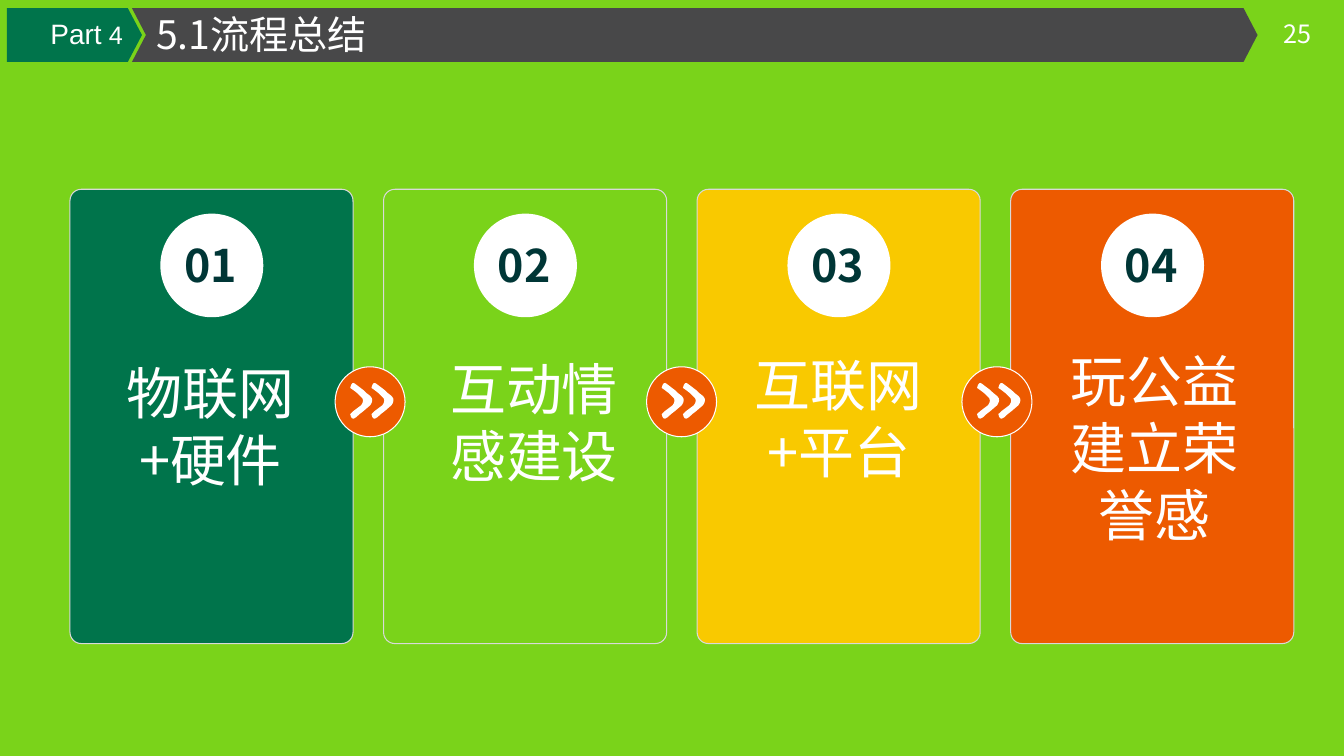
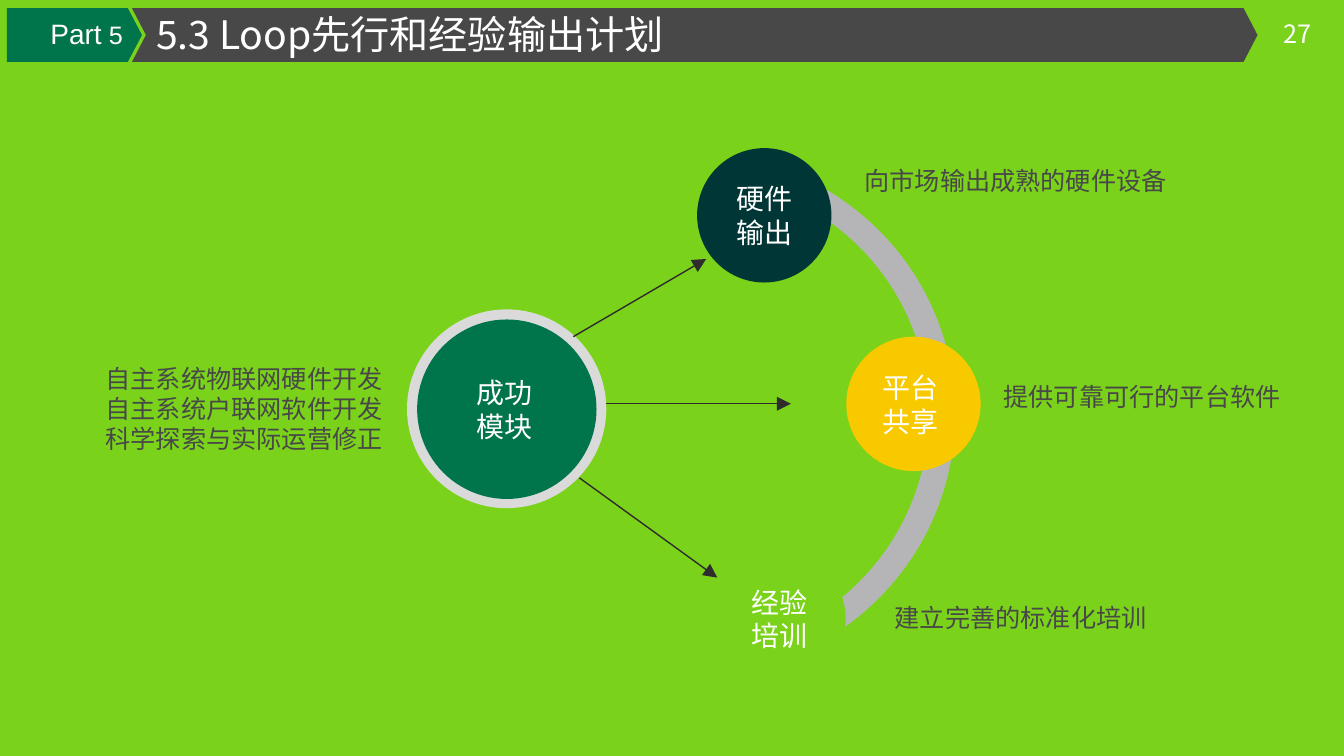
from lxml import etree
from pptx import Presentation
from pptx.dml.color import RGBColor
from pptx.enum import shapes, text
from pptx.oxml import ns
from pptx.util import Pt

LIME = RGBColor(0x7A, 0xD3, 0x1A)
GREEN = RGBColor(0x00, 0x74, 0x4B)
GOLD = RGBColor(0xF9, 0xC9, 0x00)
FLAME = RGBColor(0xED, 0x5A, 0x00)
DEEP = RGBColor(0x00, 0x36, 0x36)
SLATE = RGBColor(0x48, 0x48, 0x49)
INK = RGBColor(0x2E, 0x2C, 0x2C)
SILVER = RGBColor(0xB5, 0xB5, 0xB7)
PALE = RGBColor(0xDA, 0xDA, 0xDB)
EDGE = RGBColor(0xD9, 0xD9, 0xD9)
WHITE = RGBColor(0xFF, 0xFF, 0xFF)

SANS, LATIN = "Noto Sans CJK SC", "Arial"
LEFT, MID, RIGHT = text.PP_ALIGN.LEFT, text.PP_ALIGN.CENTER, text.PP_ALIGN.RIGHT
OVAL = shapes.MSO_SHAPE.OVAL
CARD = shapes.MSO_SHAPE.ROUNDED_RECTANGLE

# Outlines: a start point, then lines (2 numbers) or curves (6 numbers)
BAR = [(0, 0), (794.4, 0), (804.4, 19.2), (794.4, 38.4), (0, 38.4), (10, 19.2)]
TAG = [(0, 0), (86.4, 0), (96.5, 19.2), (86.4, 38.4), (0, 38.4)]
CHEVRON = [(14.4, 16.6), (9.4, 20.9), (7.2, 22.3, 5.8, 23.8, 4.3, 25.2),
           (1.4, 27.4, 0.7, 25.9, 0, 23), (2.2, 20.9), (7.9, 16.6),
           (9.4, 14.4, 10.1, 12.2, 7.2, 10.1), (5.8, 8.6, 4.3, 7.2, 2.2, 5.8),
           (0, 4.3), (0.7, 0.7, 2.2, 0, 3.6, 1.4), (9.4, 5.8),
           (10.8, 7.2, 12.2, 8.6, 14.4, 10.1),
           (16.6, 12.2, 15.8, 14.4, 14.4, 16.6)]
ARC = [(0, 15.8), (49.7, 44.6, 83.5, 99.4, 83.5, 161.3),
       (83.5, 221.8, 51.1, 275.8, 2.9, 305.3), (11.5, 321.1),
       (66.2, 288, 102.2, 229, 102.2, 161.3),
       (102.2, 92.2, 64.8, 32.4, 8.6, 0)]


def paint(item, fill, line=None, width=0.75):
    item.shadow.inherit = False
    item.fill.solid()
    item.fill.fore_color.rgb = fill
    if line is None:
        item.line.fill.background()
    else:
        item.line.color.rgb = line
        item.line.width = Pt(width)
    return item


def shape(s, kind, x, y, w, h, fill, line=None, width=0.75):
    item = s.shapes.add_shape(kind, Pt(x), Pt(y), Pt(w), Pt(h))
    return paint(item, fill, line, width)


def outline(s, x, y, parts, fill):
    dots = [part[i:i + 2] for part in parts for i in range(0, len(part), 2)]
    grid = [(round((x + a) * 100), round((y + b) * 100)) for a, b in dots]
    form = s.shapes.build_freeform(*grid[0], scale=Pt(1) / 100)
    form.add_line_segments(grid[1:], close=True)
    item = paint(form.convert_to_shape(), fill)
    # Join the three points of each curve
    legs = iter(list(item._element.iter(ns.qn("a:lnTo"))))
    for part in parts[1:]:
        first, *more = [next(legs) for _ in range(len(part) // 2)]
        if more:
            curve = etree.Element(ns.qn("a:cubicBezTo"))
            first.addprevious(curve)
            for leg in (first, *more):
                curve.append(leg[0])
                leg.getparent().remove(leg)
    return item


def style(run, size, color, face, bold=False):
    font = run.font
    font.size, font.name, font.bold = Pt(size), face, bold
    font.color.rgb = color
    rpr = run._r.get_or_add_rPr()
    etree.SubElement(rpr, ns.qn("a:ea")).set("typeface", face)


def write(s, x, y, w, h, words, size, color=WHITE, align=MID, bold=False, face=SANS):
    frame = s.shapes.add_textbox(Pt(x), Pt(y), Pt(w), Pt(h)).text_frame
    frame.word_wrap = True
    frame.text = words
    for para in frame.paragraphs:
        para.alignment = align
        if face == SANS:
            para.line_spacing = Pt(1.2 * size)
        for run in para.runs:
            style(run, size, color, face, bold)
    return frame


def arrow(s, x1, y1, x2, y2):
    line = s.shapes.add_connector(shapes.MSO_CONNECTOR.STRAIGHT,
                                  Pt(x1), Pt(y1), Pt(x2), Pt(y2))
    line.line.color.rgb = INK
    line.line.width = Pt(1)
    head = etree.SubElement(line.line._get_or_add_ln(), ns.qn("a:tailEnd"))
    for key, kind in (("type", "triangle"), ("w", "lg"), ("len", "lg")):
        head.set(key, kind)
    etree.SubElement(line._element.spPr, ns.qn("a:effectLst"))


def header(s, x, y, part, title, page):
    outline(s, x + 89.3, y, BAR, SLATE)
    outline(s, x, y, TAG, GREEN)
    write(s, x + 903, y + 3.6, 38.9, 29, page, 18)
    write(s, x + 99.4, y - 2.2, 397, 43, title, 28, align=LEFT)
    frame = write(s, x + 6.4, y + 2.3, 83.5, 32, "Part", 20, align=RIGHT, face=LATIN)
    run = frame.paragraphs[0].add_run()
    run.text = " " + part
    style(run, 18, WHITE, LATIN)


# Process cards
def card(s, x, y, fill, num, words, dx, dy):
    box = shape(s, CARD, x, y, 202.3, 324.5, fill, EDGE, 0)
    box.adjustments[0] = 0.04
    shape(s, OVAL, x + 64.6, y + 17.4, 73.6, 74, WHITE)
    write(s, x + 63.8, y + 31, 73.6, 46, num, 32, DEEP, bold=True)
    write(s, x + dx, y + dy, 165, 107, words, 40)


def badge(s, x, y):
    shape(s, OVAL, x, y, 50, 50, FLAME, WHITE)
    for dx in (26, 10.8):
        outline(s, x + dx, y + 10.8, CHEVRON, WHITE)


def steps(s, x, y):
    cards = [(GREEN, "物联网\n+硬件", 17.9, 117.5),
             (LIME, "互动情感建设", 25, 114.6),
             (GOLD, "互联网\n+平台", 18.7, 111.7),
             (FLAME, "玩公益建立荣誉感", 20.2, 108.8)]
    for i, (fill, words, dx, dy) in enumerate(cards):
        card(s, x + i * 224.1, y, fill, f"{i + 1:02}", words, dx, dy)
    for dx in (189.5, 412.1, 637.5):
        badge(s, x + dx, y + 126.8)


# Hub with three outputs
def hub(s, x, y):
    shape(s, OVAL, x + 222.5, y + 115.2, 142.4, 142, PALE)
    outline(s, x + 511.9, y + 28.8, ARC, SILVER)
    shape(s, OVAL, x + 229.7, y + 122.4, 128.2, 128.2, GREEN)
    write(s, x + 261.4, y + 159.2, 61.2, 57, "成功模块", 20)
    write(s, x, y + 149.8, 213.8, 73.4,
          "自主系统物联网硬件开发\n自主系统户联网软件开发\n科学探索与实际运营修正",
          18, SLATE, LEFT)
    nodes = [(429.8, 0, DEEP, "硬件输出", 17.3),
             (536.4, 134.7, GOLD, "平台共享", 15.2),
             (439.9, 288, LIME, "经验培训", 18)]
    for dx, dy, fill, words, inset in nodes:
        shape(s, OVAL, x + dx, y + dy, 96, 96, fill)
        write(s, x + dx + inset, y + dy + 20.6, 61.2, 57, words, 20)
    notes = [(529.9, 8.7, 242.6, "向市场输出成熟的硬件设备"),
             (640.1, 162.8, 213.8, "提供可靠可行的平台软件"),
             (544.3, 321.2, 213.8, "建立完善的标准化培训")]
    for dx, dy, w, words in notes:
        write(s, x + dx, y + dy, w, 30, words, 18, SLATE, RIGHT)
    for x1, y1, x2, y2 in [(345.6, 235.5, 444.2, 306.8),
                           (341.3, 134.7, 436.3, 79.2),
                           (365, 182.6, 496.8, 182.6)]:
        arrow(s, x + x1, y + y1, x + x2, y + y2)


def main():
    deck = Presentation()
    deck.slide_width, deck.slide_height = Pt(960.48), Pt(540)
    back = deck.slide_master.background.fill
    back.solid()
    back.fore_color.rgb = LIME
    pages = [("4", "5.1流程总结", "25", steps, 50, 135.2),
             ("5", "5.3 Loop先行和经验输出计划", "27", hub, 68.4, 105.8)]
    for part, title, page, body, x, y in pages:
        s = deck.slides.add_slide(deck.slide_layouts[6])
        header(s, 5, 5.8, part, title, page)
        body(s, x, y)
    deck.save("out.pptx")


if __name__ == "__main__":
    main()
